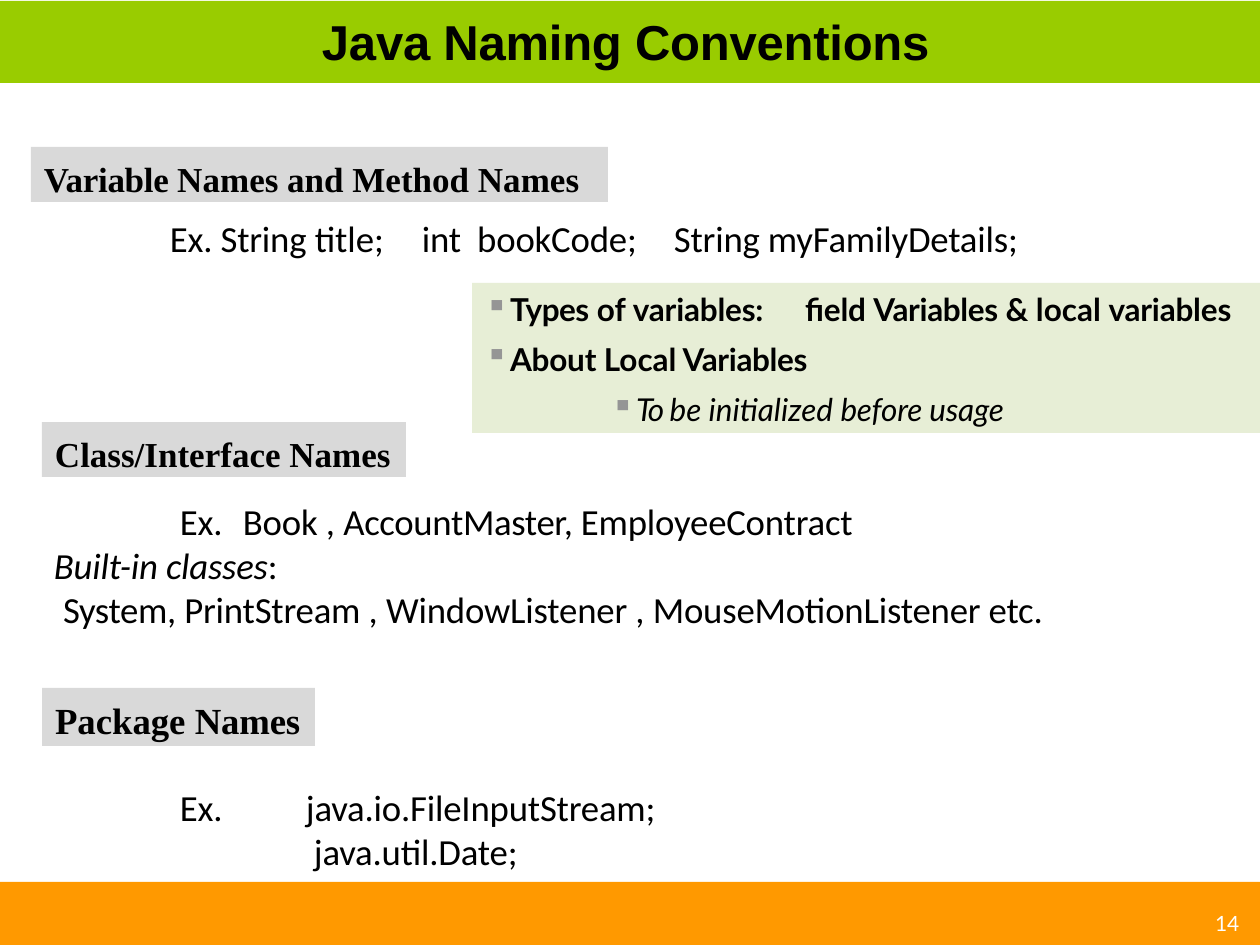
from pptx import Presentation
from pptx.dml.color import RGBColor
from pptx.enum.shapes import MSO_SHAPE as SHAPE
from pptx.enum.text import MSO_ANCHOR as ANCHOR, PP_ALIGN as ALIGN
from pptx.oxml.ns import qn
from pptx.util import Emu, Pt
from lxml.etree import SubElement

BLACK = RGBColor(0x00, 0x00, 0x00)
WHITE = RGBColor(0xFF, 0xFF, 0xFF)
ORANGE = RGBColor(0xFF, 0x99, 0x00)
LIME = RGBColor(0x99, 0xCC, 0x00)
GREY = RGBColor(0xD9, 0xD9, 0xD9)
PALE = RGBColor(0xE7, 0xEE, 0xD6)
BULLET = RGBColor(0x95, 0x95, 0x95)

W, H = 1260, 945
BARS = [((0, 882, W, 63), ORANGE), ((0, 1, W, 82), LIME)]

HEADINGS = [
    ((31, 147, 577, 55), 20, [("Variable ", -0.2), ("Names and Method Names", 0)]),
    ((42, 422, 364, 55), 20, [("Class/Interface Names", 0)]),
    ((42, 688, 273, 58), 21, [("Package ", 0), ("Names", -0.1)]),
]
EXAMPLES = [
    ((169, 213, 1032, 48), [
        dict(runs=[("Ex. String ", -0.1), ("title;\t", 0),
                   ("int  bookCode;\tString myFamilyDetails;", -0.1)],
             left=1, tabs=[304, 682])]),
    ((53, 496, 1014, 136), [
        dict(runs=[("Ex.\tBook ", -0.1), (", ", 0), ("AccountMaster, ", -0.2),
                   ("EmployeeContract", -0.1)], left=127, tabs=[253]),
        dict(runs=[("Built-in classes", -0.1, True), (":", -0.1)], left=1),
        dict(runs=[("System, ", -0.2), ("PrintStream ", -0.1), (", ", 0),
                   ("WindowListener ", -0.1), (", ", 0),
                   ("MouseMotionListener etc.", -0.1)], left=10)]),
    ((179, 782, 47, 48), [dict(runs=[("Ex.", -0.1)], left=1)]),
    ((305, 782, 358, 92), [
        dict(runs=[("java.io.FileInputStream;", -0.1)], left=1),
        dict(runs=[("java.util.Date;", -0.1)], left=9)]),
]
VARIABLES = [
    dict(runs=[("Types", -0.3), (" of ", 0), ("variables:\tfield ", -0.1),
               ("Variables ", -0.2), ("& local ", 0), ("variables", -0.1)],
         left=38, tabs=[38, 333], bold=True),
    dict(runs=[("About ", -0.1), ("Local", 0), (" Variables", -0.2)],
         left=38, tabs=[38], bold=True, before=6.8),
    dict(runs=[("To ", -1.1, True), ("be initialized ", 0, True),
               ("before usage", -0.1, True)],
         left=164, tabs=[164], before=7, level=1),
]


def px(n):
    return Emu(round(n * 914400 / 126))


def add_bar(s, box, color):
    sp = s.shapes.add_shape(SHAPE.RECTANGLE, *map(px, box))
    sp.shadow.inherit = False
    sp.fill.solid()
    sp.fill.fore_color.rgb = color
    sp.line.fill.background()
    return sp


def add_text(tf, runs, size, font, color=BLACK, bold=False, left=0, tabs=(),
             bullet=None, before=0, level=0):
    p = tf.paragraphs[0]
    if p.runs:
        p = tf.add_paragraph()
    p.level, p.alignment = level, ALIGN.LEFT
    pPr = p._p.get_or_add_pPr()
    pPr.set("marL", str(px(left)))
    pPr.set("indent", str(px(-25 if bullet else 0)))
    if bullet:
        clr = SubElement(pPr, qn("a:buClr"))
        SubElement(clr, qn("a:srgbClr"), val=str(BULLET))
        SubElement(pPr, qn("a:buChar"), char=bullet)
    if tabs:
        lst = SubElement(pPr, qn("a:tabLst"))
        for pos in tabs:
            SubElement(lst, qn("a:tab"), pos=str(px(pos)), algn="l")
    p.space_before = Pt(before)
    for text, spacing, *italic in runs:
        r = p.add_run()
        r.text = text
        f = r.font
        f.name, f.size, f.bold, f.italic = font, Pt(size), bold, bool(italic)
        f.color.rgb = color
        r._r.get_or_add_rPr().set("spc", str(round(spacing * 100)))


def fill_text(sp, paragraphs, top, **style):
    tf = sp.text_frame
    tf.word_wrap = True
    tf.vertical_anchor = ANCHOR.TOP
    tf.margin_left = tf.margin_right = tf.margin_bottom = 0
    tf.margin_top = px(top)
    for para in paragraphs:
        add_text(tf, **para, **style)


def main():
    """Build the Java naming conventions slide."""
    prs = Presentation()
    prs.slide_width, prs.slide_height = px(W), px(H)
    s = prs.slides.add_slide(prs.slide_layouts[6])
    for box, color in BARS:
        add_bar(s, box, color)
    labels = [
        ((321, 9, 616, 62), "Java Naming Conventions", 3, -0.1,
         dict(size=28, font="Arial", bold=True, left=1)),
        ((1210, 911, 33, 28), "14", 0, 0,
         dict(size=12, font="Lato", color=WHITE, left=5)),
    ]
    for box, text, top, spacing, style in labels:
        sp = s.shapes.add_textbox(*map(px, box))
        fill_text(sp, [dict(runs=[(text, spacing)])], top, **style)
    for box, size, runs in HEADINGS:
        fill_text(add_bar(s, box, GREY), [dict(runs=runs)], 10, size=size,
                  font="Times New Roman", bold=True, left=13)
    for box, paragraphs in EXAMPLES:
        sp = s.shapes.add_textbox(*map(px, box))
        fill_text(sp, paragraphs, 3, size=21, font="Calibri")
    fill_text(add_bar(s, (472, 283, 814, 150), PALE), VARIABLES, 7,
              size=18, font="Lato", bullet="▪")
    prs.save("out.pptx")


if __name__ == "__main__":
    main()
